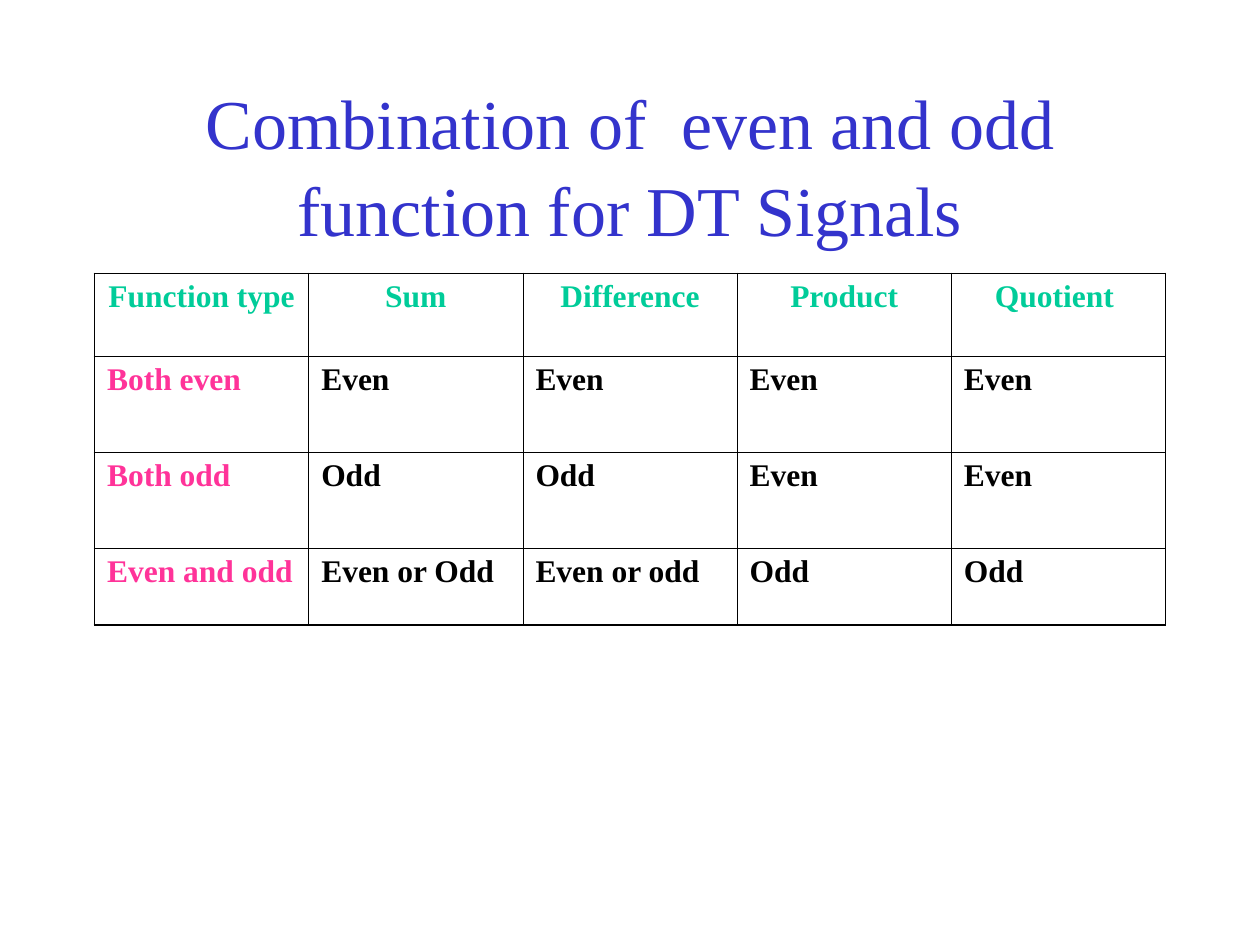
from pptx import Presentation
from pptx import util as u
from pptx.dml.color import RGBColor
from pptx.enum import text
from pptx.oxml import parse_xml
from pptx.oxml.ns import nsdecls

# Content
TITLE = "Combination of  even and odd function for DT Signals"
ROWS = [
    ("Function type", "Sum", "Difference", "Product", "Quotient "),
    ("Both even", "Even", "Even", "Even", "Even"),
    ("Both odd", "Odd", "Odd", "Even", "Even"),
    ("Even and odd", "Even or Odd", "Even or odd", "Odd", "Odd"),
]

# Look
BLUE = RGBColor(0x33, 0x33, 0xCC)
GREEN = RGBColor(0x00, 0xCC, 0x99)
PINK = RGBColor(0xFF, 0x33, 0x99)
BLACK = RGBColor(0, 0, 0)
FACE = "Times New Roman"
MID, LEFT = text.PP_ALIGN.CENTER, text.PP_ALIGN.LEFT
THIN, THICK = u.Pt(0.45), u.Pt(1.08)

# Grid, in inches
WIDE, HIGH = 10, 7.5
SIDE = 0.075 * WIDE
SPAN = WIDE - 2 * SIDE
HEAD = (0.67, 1.25)
TOP = 2.17
TALL = (0.66, 0.76, 0.76, 0.61)


def write(para, words, align, size, color, bold=False):
    para.text = words
    para.alignment = align
    look = {"name": FACE, "size": u.Pt(size), "bold": bold}
    for font in (para.font, para.runs[0].font):
        for key, value in look.items():
            setattr(font, key, value)
        font.color.rgb = color


def edge(cell, sides):
    props = cell._tc.get_or_add_tcPr()
    for spot, (side, width) in enumerate(sides.items()):
        props.insert(spot, parse_xml(
            f'<a:ln{side} {nsdecls("a")} w="{width}"><a:solidFill>'
            f'<a:srgbClr val="{BLACK}"/></a:solidFill></a:ln{side}>'))


deck = Presentation()
deck.slide_width, deck.slide_height = u.Inches(WIDE), u.Inches(HIGH)
slide = deck.slides.add_slide(deck.slide_layouts[6])

# Title
box = slide.shapes.add_textbox(
    *map(u.Inches, (SIDE, HEAD[0], SPAN, HEAD[1])))
frame = box.text_frame
frame.word_wrap = True
frame.vertical_anchor = text.MSO_ANCHOR.MIDDLE
write(frame.paragraphs[0], TITLE, MID, 40, BLUE)
frame.paragraphs[0].line_spacing = 1.04

# Table
rows, cols = len(ROWS), len(ROWS[0])
table = slide.shapes.add_table(
    rows, cols, *map(u.Inches, (SIDE, TOP, SPAN, sum(TALL)))).table
table.first_row = table.horz_banding = False
for col in table.columns:
    col.width = u.Inches(SPAN / cols)

for r, line in enumerate(ROWS):
    table.rows[r].height = u.Inches(TALL[r])
    for c, words in enumerate(line):
        cell = table.cell(r, c)
        cell.fill.background()
        color = GREEN if r == 0 else PINK if c == 0 else BLACK
        write(cell.text_frame.paragraphs[0], words,
              MID if r == 0 else LEFT, 18, color, True)
        # Thick lines only around the outside
        outer = {"L": c == 0, "R": c == cols - 1,
                 "T": r == 0, "B": r == rows - 1}
        edge(cell, {k: THICK if out else THIN for k, out in outer.items()})

deck.save("out.pptx")
